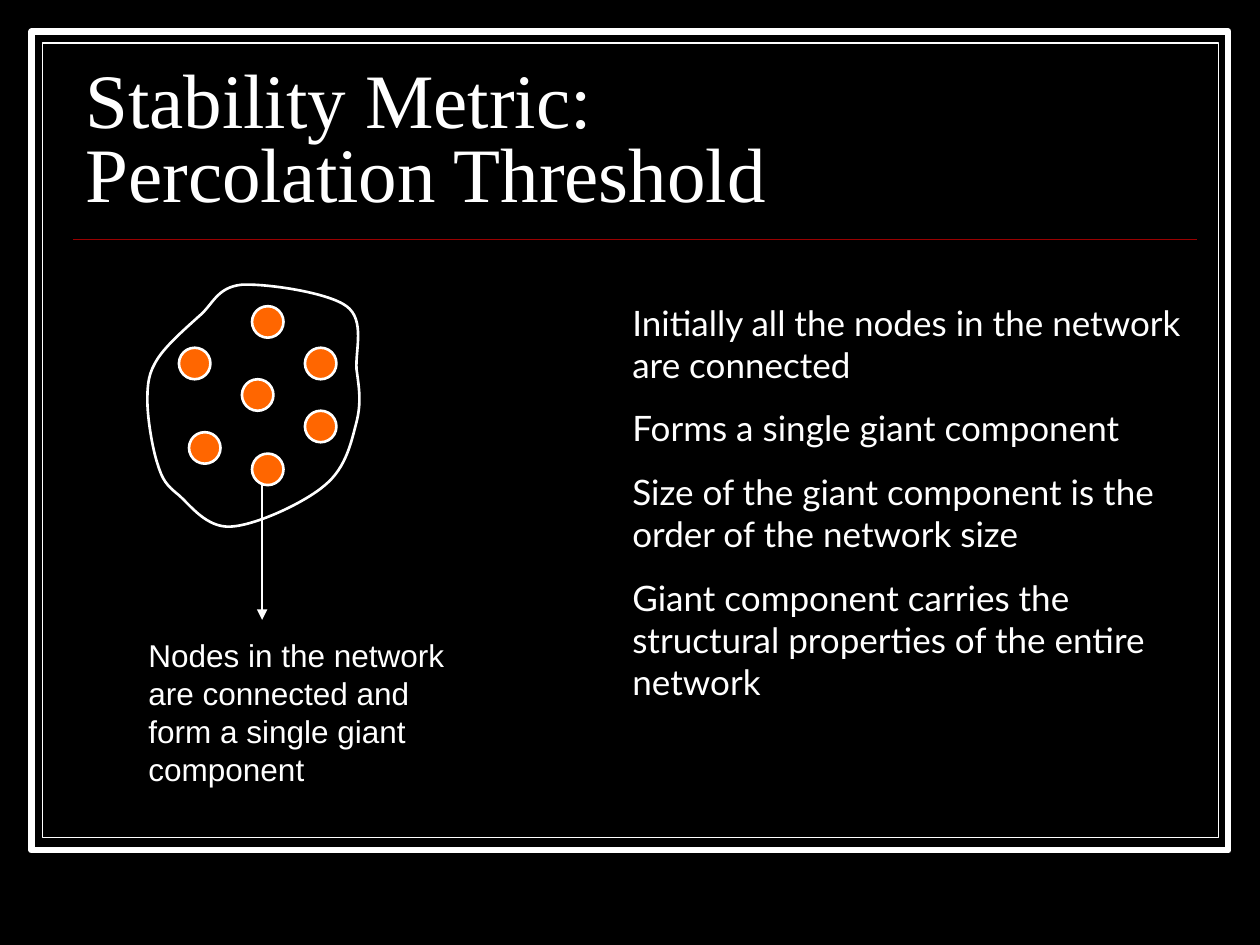
from lxml import etree
from pptx import Presentation
from pptx.dml.color import RGBColor
from pptx.enum.shapes import MSO_CONNECTOR as Connector, MSO_SHAPE as Shape
from pptx.enum.text import MSO_ANCHOR as Anchor
from pptx.oxml.ns import qn
from pptx.util import Emu, Pt

PX = 9144
BLACK = RGBColor(0x00, 0x00, 0x00)
WHITE = RGBColor(0xFF, 0xFF, 0xFF)
RED = RGBColor(0x99, 0x00, 0x00)
ORANGE = RGBColor(0xFF, 0x66, 0x00)

NODE_SIZE = 25
NODES = [(242, 276), (242, 326), (200, 243), (142, 276),
         (200, 360), (150, 343), (192, 301)]
OUTLINE_START = (158, 251)
OUTLINE_CURVES = [
    [(147, 261), (132, 274), (125, 285)],
    [(118, 296), (117, 304), (117, 318)],
    [(117, 332), (121, 356), (125, 368)],
    [(129, 381), (132, 385), (142, 393)],
    [(151, 401), (164, 419), (183, 418)],
    [(203, 417), (242, 399), (258, 385)],
    [(275, 371), (279, 350), (283, 335)],
    [(287, 319), (285, 308), (283, 293)],
    [(282, 278), (290, 254), (275, 243)],
    [(260, 232), (211, 225), (192, 226)],
    [(172, 228), (169, 242), (158, 251)],
]
FINDINGS = [
    "Initially all the nodes in the network are connected",
    "Forms a single giant component",
    "Size of the giant component is the order of the network size",
    "Giant component carries the structural properties of the entire network",
]
CAPTION = "Nodes in the network are connected and form a single giant component"


class SlideBuilder:
    def __init__(self, slide):
        self.slide = slide
        self.shapes = slide.shapes
        background = slide.background.fill
        background.solid()
        background.fore_color.rgb = BLACK

    def paint(self, shape, fill, line_width):
        shape.shadow.inherit = False
        shape.fill.solid()
        shape.fill.fore_color.rgb = fill
        shape.line.color.rgb = WHITE
        shape.line.width = Pt(line_width)

    def preset(self, kind, box, fill, line_width):
        shape = self.shapes.add_shape(kind, *(Emu(n * PX) for n in box))
        self.paint(shape, fill, line_width)

    def curve(self, start, curves, fill, line_width):
        builder = self.shapes.build_freeform(*start, scale=PX)
        builder.add_line_segments([point for curve in curves for point in curve])
        shape = builder.convert_to_shape()
        segments = list(shape._element.iter(qn("a:lnTo")))
        for first in range(0, len(segments), 3):
            group = segments[first:first + 3]
            bezier = etree.Element(qn("a:cubicBezTo"))
            group[0].addprevious(bezier)
            for segment in group:
                bezier.append(segment[0])
                segment.getparent().remove(segment)
        self.paint(shape, fill, line_width)

    def line(self, start, end, color, width, arrow=False):
        ends = (Emu(n * PX) for n in start + end)
        connector = self.shapes.add_connector(Connector.STRAIGHT, *ends)
        connector.line.color.rgb = color
        connector.line.width = Pt(width)
        if arrow:
            line = connector.line._get_or_add_ln()
            etree.SubElement(line, qn("a:tailEnd"), type="triangle")
        etree.SubElement(connector._element.spPr, qn("a:effectLst"))

    def text(self, box, paragraphs, font, size, gap=0, spacing=None, anchor=Anchor.TOP):
        shape = self.shapes.add_textbox(*(Emu(n * PX) for n in box))
        frame = shape.text_frame
        frame.word_wrap = True
        frame.vertical_anchor = anchor
        for index, words in enumerate(paragraphs):
            paragraph = frame.add_paragraph() if index else frame.paragraphs[0]
            paragraph.text = words
            paragraph.space_before = Pt(gap if index else 0)
            paragraph.line_spacing = spacing
            paragraph.font.name = font
            paragraph.font.size = Pt(size)
            paragraph.font.color.rgb = WHITE


def main():
    presentation = Presentation()
    presentation.slide_width = Emu(1000 * PX)
    presentation.slide_height = Emu(750 * PX)
    slide = presentation.slides.add_slide(presentation.slide_layouts[6])
    builder = SlideBuilder(slide)

    builder.preset(Shape.RECTANGLE, (25, 25, 950, 650), BLACK, 3.5)
    builder.preset(Shape.RECTANGLE, (34, 34, 933, 631), BLACK, 0.75)
    builder.line((58, 190), (950, 190), RED, 1)
    builder.text((58, 52, 892, 125), ["Stability Metric:\vPercolation Threshold"],
                 "Times New Roman", 44, spacing=0.8, anchor=Anchor.BOTTOM)

    builder.curve(OUTLINE_START, OUTLINE_CURVES, BLACK, 1.5)
    for left, top in NODES:
        builder.preset(Shape.OVAL, (left, top, NODE_SIZE, NODE_SIZE), ORANGE, 1.5)

    builder.text((492, 234, 458, 329), FINDINGS, "Lato", 20, gap=12.5)
    builder.line((208, 383), (208, 492), WHITE, 0.75, arrow=True)
    builder.text((108, 500, 275, 130), [CAPTION], "Arial", 18)

    presentation.save("out.pptx")


if __name__ == "__main__":
    main()
